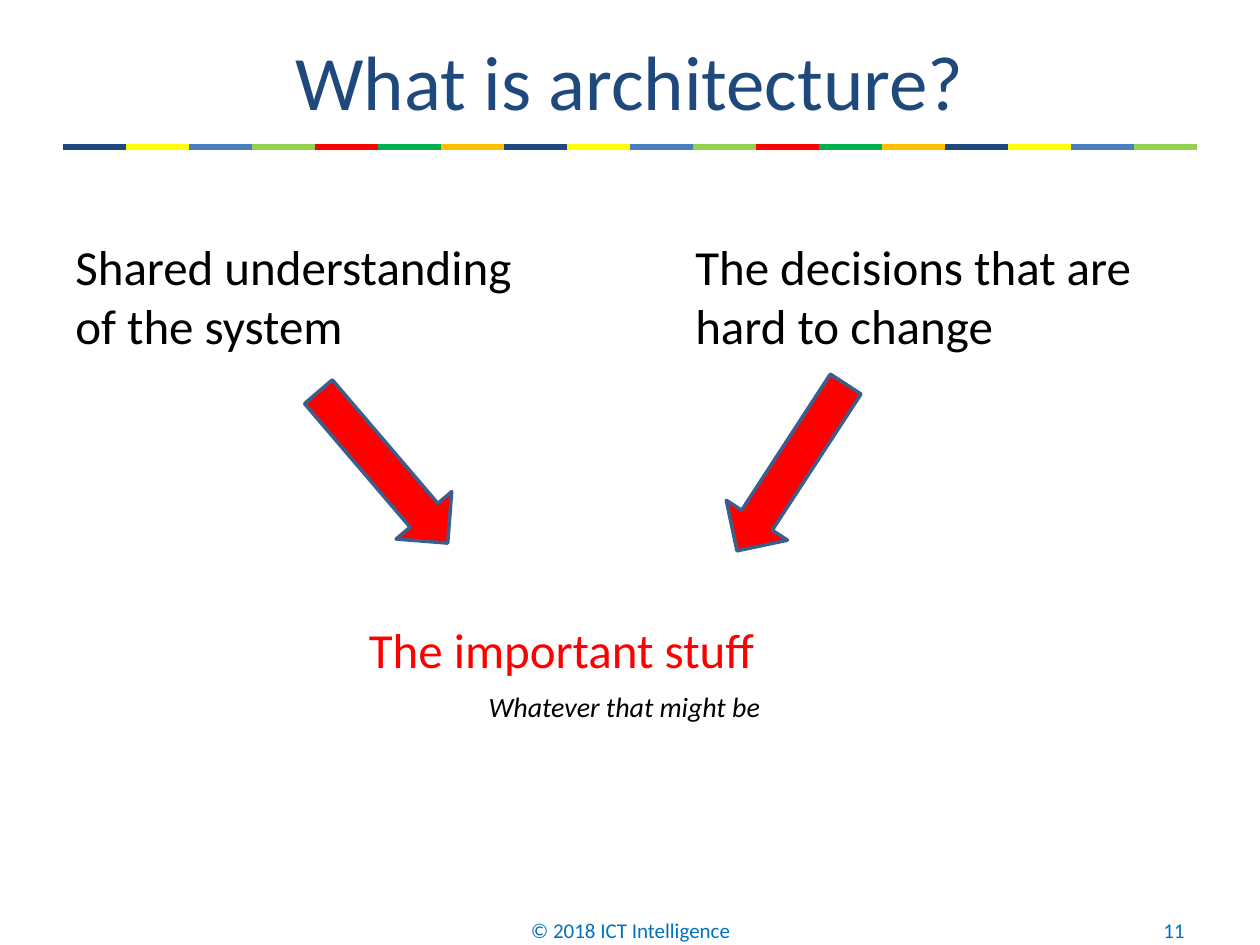
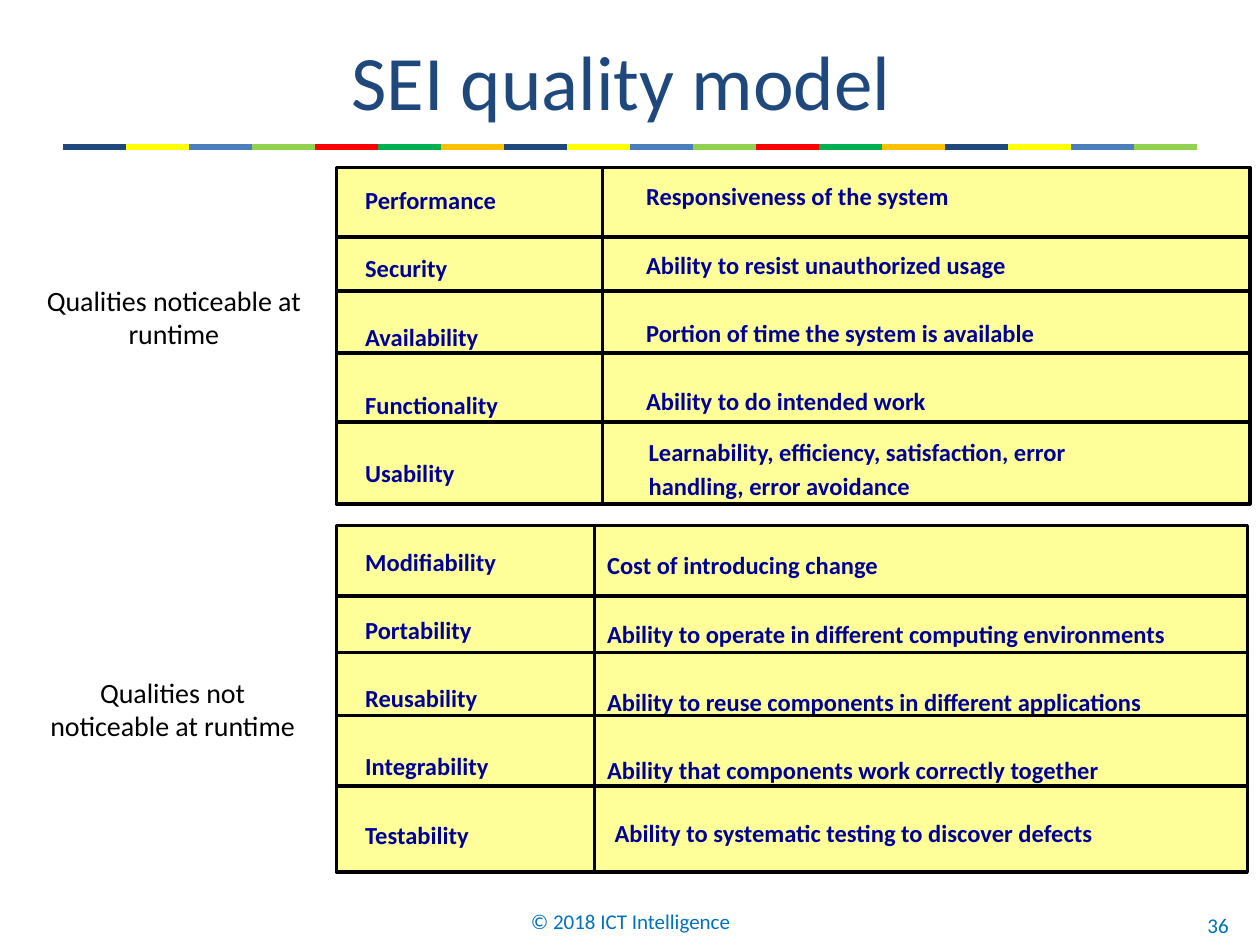
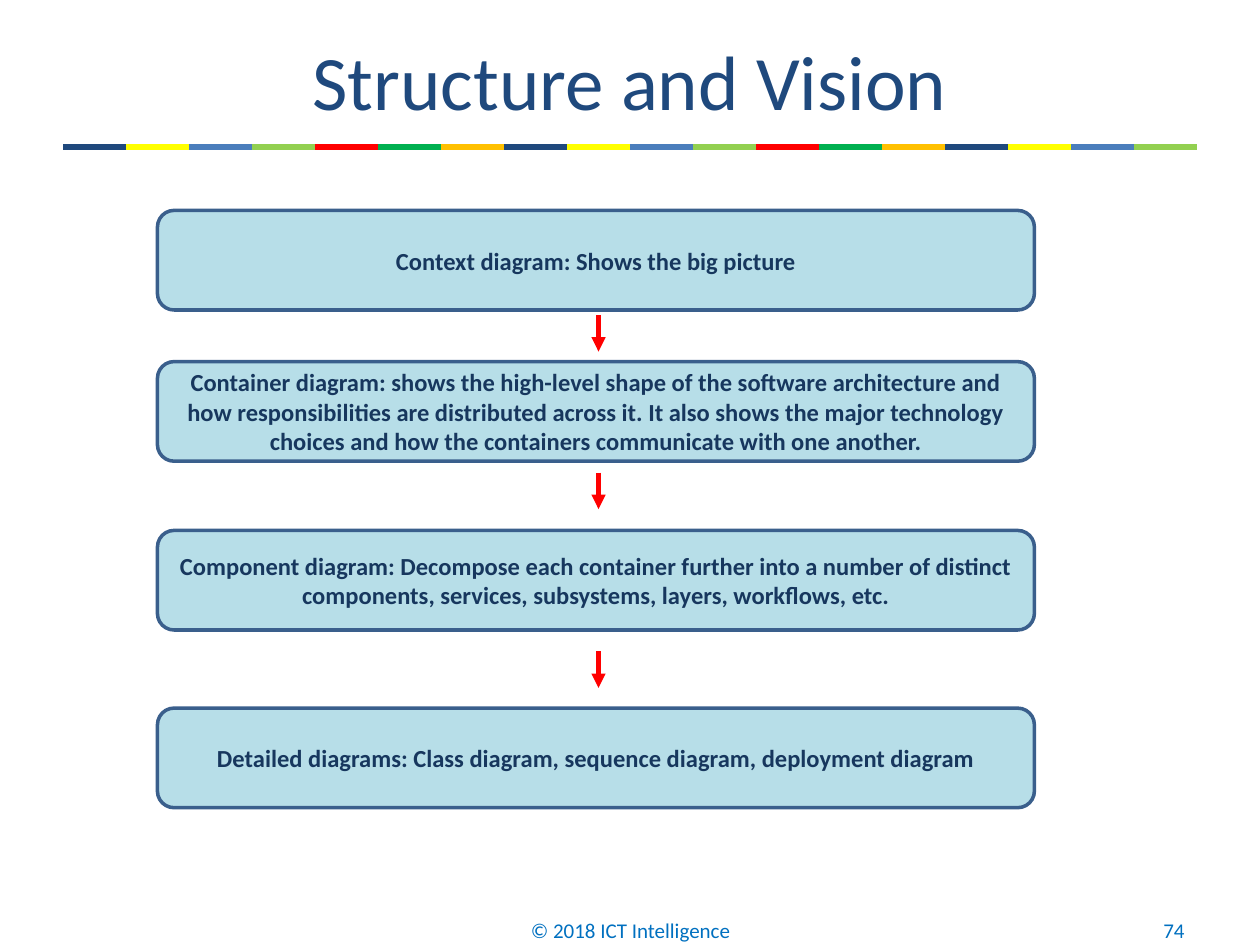
"""Build three slides on software architecture with a shared title, colour band and footer."""
from dataclasses import dataclass
from itertools import cycle, islice

from lxml import etree
from pptx import Presentation
from pptx import util as u
from pptx.dml.color import RGBColor
from pptx.enum import shapes, text
from pptx.oxml import ns

FONT = "Calibri"
COLORS = {
    "navy": "1F497D",
    "yellow": "FFFF00",
    "blue": "4B7EBC",
    "lime": "92D050",
    "red": "FF0000",
    "green": "00B050",
    "amber": "FFC000",
    "footer": "0070C0",
    "outline": "3A5F8C",
    "step": "B7DEE8",
    "step text": "17375E",
    "grid": "FFFF99",
    "grid text": "000099",
    "black": "000000",
}
BAND = ("navy", "yellow", "blue", "lime", "red", "green", "amber")
BAND_SEGMENTS = 18
BAND_LEFT, BAND_TOP, SEGMENT_WIDTH = 0.5, 1.17, 0.5
ROW_GAP = 22.2
LINE_GAP = 2.8
LEFT, CENTER, RIGHT = text.PP_ALIGN.LEFT, text.PP_ALIGN.CENTER, text.PP_ALIGN.RIGHT
TOP, MIDDLE = text.MSO_ANCHOR.TOP, text.MSO_ANCHOR.MIDDLE


@dataclass(frozen=True)
class Area:
    left: float
    top: float
    width: float
    height: float

    @property
    def right(self) -> float:
        return self.left + self.width

    @property
    def bottom(self) -> float:
        return self.top + self.height

    def lengths(self) -> list:
        return [u.Inches(side) for side in (self.left, self.top, self.width, self.height)]


@dataclass(frozen=True)
class Style:
    size: float
    color: str
    bold: bool = False
    italic: bool = False
    align: int = LEFT
    gap: float = 0


@dataclass(frozen=True)
class TextBlock:
    area: Area
    lines: tuple
    style: Style
    anchor: int = TOP


@dataclass(frozen=True)
class Arrow:
    area: Area
    angle: float


@dataclass(frozen=True)
class QualityGrid:
    frame: Area
    column: float
    rows: tuple
    texts: tuple


@dataclass(frozen=True)
class Step:
    top: float
    label: str


TITLE = Style(44, "navy", align=CENTER)
BODY = Style(28, "black")
CAPTION = Style(16, "black", align=CENTER)
STEP = Style(14, "step text", bold=True, align=CENTER)
ROWS = Style(14, "grid text", bold=True, gap=ROW_GAP)
WRAPPED = Style(14, "grid text", bold=True, gap=LINE_GAP)

FOOTER = Area(3.42, 7.18, 3.17, 0.4)
NUMBER = Area(7.17, 7.18, 2.33, 0.4)

IDEAS = (
    TextBlock(Area(5.42, 1.83, 4.33, 1.04), ("The decisions that are hard to change",), BODY),
    TextBlock(Area(0.5, 1.83, 4, 1.04), ("Shared understanding of the system",), BODY),
    TextBlock(Area(2.83, 4.87, 4.33, 0.57), ("The important stuff",), Style(28, "red")),
    TextBlock(Area(3.78, 5.42, 4.33, 0.37), ("Whatever that might be",),
              Style(16, "black", italic=True)),
)
ARROWS = (
    Arrow(Area(2.25, 3.42, 1.58, 0.58), 49.5),
    Arrow(Area(5.49, 3.42, 1.58, 0.58), 123.1),
)
GRIDS = (
    QualityGrid(Area(2.67, 4.17, 7.23, 2.75), 4.72, (4.73, 5.18, 5.68, 6.24), (
        TextBlock(Area(2.8, 4.29, 1.5, 2.6), (
            "Modifiability", "Portability", "Reusability", "Integrability", "Testability"), ROWS),
        TextBlock(Area(4.72, 4.32, 5, 2.1), (
            "Cost of introducing change",
            "Ability to operate in different computing environments",
            "Ability to reuse components in different applications",
            "Ability that components work correctly together"), ROWS),
        TextBlock(Area(4.78, 6.44, 4.5, 0.34), (
            "Ability to systematic testing to discover defects",), WRAPPED),
    )),
    QualityGrid(Area(2.67, 1.33, 7.25, 2.67), 4.78, (1.88, 2.31, 2.8, 3.35), (
        TextBlock(Area(2.8, 1.42, 1.5, 2.6), (
            "Performance", "Security", "Availability", "Functionality", "Usability"), ROWS),
        TextBlock(Area(5.03, 1.39, 4, 2.1), (
            "Responsiveness of the system",
            "Ability to resist unauthorized usage",
            "Portion of time the system is available",
            "Ability to do intended work"), ROWS),
        TextBlock(Area(5.05, 3.42, 4, 0.62), (
            "Learnability, efficiency, satisfaction, error",
            "handling, error avoidance"), WRAPPED),
    )),
)
CAPTIONS = (
    TextBlock(Area(0.26, 2.2, 2.24, 0.64), ("Qualities noticeable at runtime",), CAPTION),
    TextBlock(Area(0.25, 5.31, 2.24, 0.64), ("Qualities not noticeable at runtime",), CAPTION),
)
STEPS = (
    Step(1.67, "Context diagram: Shows the big picture"),
    Step(2.87, "Container diagram: shows the high-level shape of the software architecture and "
               "how responsibilities are distributed across it. It also shows the major "
               "technology choices and how the containers communicate with one another."),
    Step(4.21, "Component diagram: Decompose each container further into a number of distinct "
               "components, services, subsystems, layers, workflows, etc."),
    Step(5.62, "Detailed diagrams: Class diagram, sequence diagram, deployment diagram"),
)
STEP_ARROW_TOPS = (2.5, 3.75, 5.17)
STEP_ARROW_X, STEP_ARROW_LENGTH = 4.75, 0.29


def rgb(name: str) -> RGBColor:
    return RGBColor.from_string(COLORS[name])


def write(frame, lines: tuple, style: Style, anchor: int) -> None:
    frame.word_wrap = True
    frame.vertical_anchor = anchor
    for index, line in enumerate(lines):
        para = frame.add_paragraph() if index else frame.paragraphs[0]
        para.text = line
        para.alignment = style.align
        if index:
            para.space_before = u.Pt(style.gap)
        font = para.font
        font.name, font.size = FONT, u.Pt(style.size)
        font.bold, font.italic = style.bold, style.italic
        font.color.rgb = rgb(style.color)


def add_text(page, block: TextBlock) -> None:
    box = page.shapes.add_textbox(*block.area.lengths())
    write(box.text_frame, block.lines, block.style, block.anchor)


def add_shape(page, kind: int, area: Area, fill: str, line: str):
    shape = page.shapes.add_shape(kind, *area.lengths())
    shape.shadow.inherit = False
    shape.fill.solid()
    shape.fill.fore_color.rgb = rgb(fill)
    shape.line.color.rgb = rgb(line)
    shape.line.width = u.Pt(2)
    return shape


def add_line(page, start: tuple, end: tuple, color: str, width: float,
             arrow: bool = False) -> None:
    ends = [u.Inches(value) for value in (*start, *end)]
    line = page.shapes.add_connector(shapes.MSO_CONNECTOR.STRAIGHT, *ends)
    line.line.color.rgb = rgb(color)
    line.line.width = u.Pt(width)
    if arrow:
        outline = line.line._get_or_add_ln()
        etree.SubElement(outline, ns.qn("a:tailEnd"), type="triangle")
    etree.SubElement(line._element.spPr, ns.qn("a:effectLst"))


def add_page(deck, title: str, number: int, footer: Area = FOOTER, corner: Area = NUMBER):
    page = deck.slides.add_slide(deck.slide_layouts[6])
    for index, color in enumerate(islice(cycle(BAND), BAND_SEGMENTS)):
        left = BAND_LEFT + index * SEGMENT_WIDTH
        add_line(page, (left, BAND_TOP), (left + SEGMENT_WIDTH, BAND_TOP), color, 3.5)
    add_text(page, TextBlock(Area(0.5, 0.17, 9, 0.92), (title,), TITLE, MIDDLE))
    add_text(page, TextBlock(footer, ("© 2018 ICT Intelligence",),
                             Style(12, "footer", align=CENTER), MIDDLE))
    add_text(page, TextBlock(corner, (str(number),),
                             Style(12, "footer", align=RIGHT), MIDDLE))
    return page


def add_grid(page, grid: QualityGrid) -> None:
    frame = grid.frame
    add_shape(page, shapes.MSO_SHAPE.RECTANGLE, frame, "grid", "black")
    for block in grid.texts:
        add_text(page, block)
    add_line(page, (grid.column, frame.top), (grid.column, frame.bottom), "black", 2)
    for row in grid.rows:
        add_line(page, (frame.left, row), (frame.right, row), "black", 2)


def add_architecture(deck) -> None:
    page = add_page(deck, "What is architecture?", 11)
    for block in IDEAS:
        add_text(page, block)
    for arrow in ARROWS:
        shape = add_shape(page, shapes.MSO_SHAPE.RIGHT_ARROW, arrow.area, "red", "outline")
        shape.rotation = arrow.angle


def add_quality_model(deck) -> None:
    page = add_page(deck, "SEI quality model ", 36,
                    Area(2.62, 7.17, 4.77, 0.28), Area(9.18, 7.25, 0.67, 0.19))
    for grid in GRIDS:
        add_grid(page, grid)
    for block in CAPTIONS:
        add_text(page, block)


def add_structure(deck) -> None:
    page = add_page(deck, "Structure and Vision", 74)
    for step in STEPS:
        box = add_shape(page, shapes.MSO_SHAPE.ROUNDED_RECTANGLE,
                        Area(1.25, step.top, 6.96, 0.79), "step", "outline")
        write(box.text_frame, (step.label,), STEP, MIDDLE)
    for top in STEP_ARROW_TOPS:
        add_line(page, (STEP_ARROW_X, top), (STEP_ARROW_X, top + STEP_ARROW_LENGTH),
                 "red", 2.75, arrow=True)


def main() -> None:
    deck = Presentation()
    deck.slide_width, deck.slide_height = u.Inches(10), u.Inches(7.5)
    add_architecture(deck)
    add_quality_model(deck)
    add_structure(deck)
    deck.save("out.pptx")


if __name__ == "__main__":
    main()
